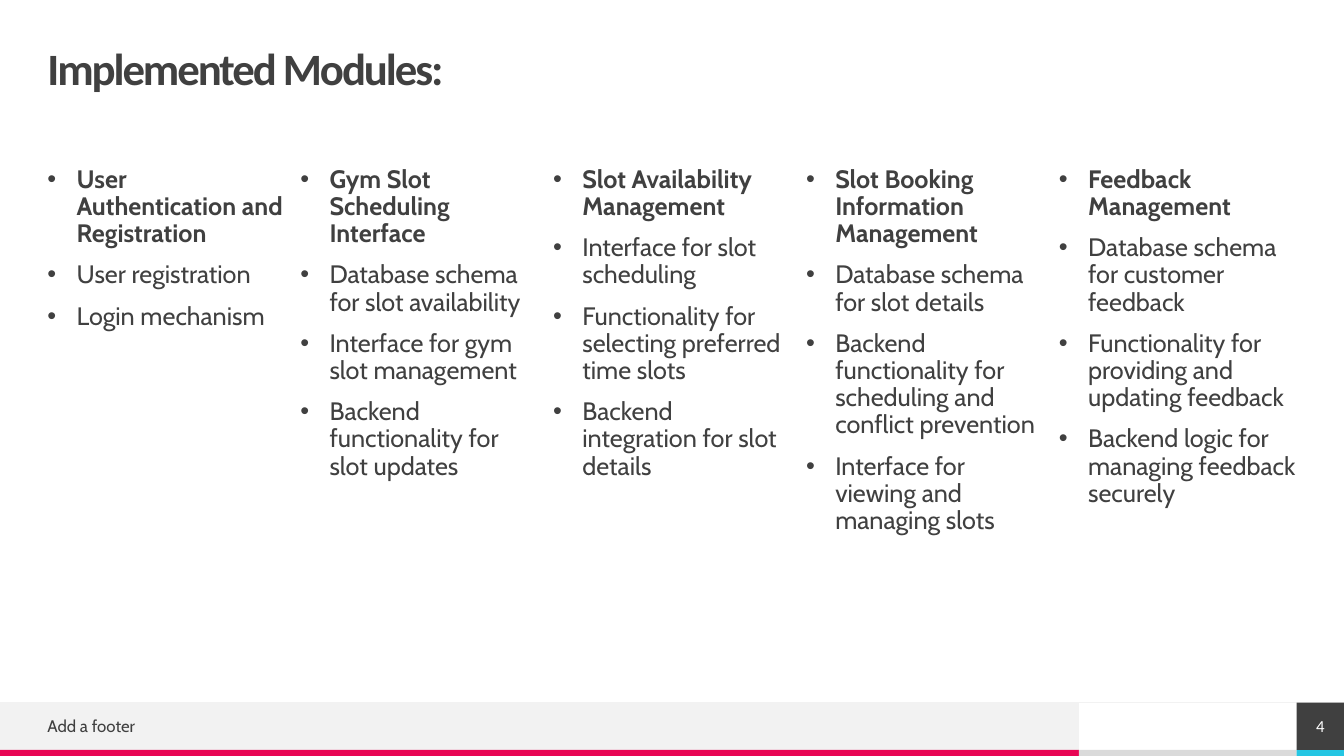
import copy

import pptx
import pptx.dml.color
import pptx.enum.shapes
import pptx.enum.text
import pptx.oxml.ns
import pptx.util
from lxml import etree

TITLE = "Implemented Modules:"
MODULES = [
    ("User Authentication and Registration",
     ["User registration", "Login mechanism"]),
    ("Gym Slot Scheduling Interface",
     ["Database schema for slot availability",
      "Interface for gym slot management",
      "Backend functionality for slot updates"]),
    ("Slot Availability Management",
     ["Interface for slot scheduling",
      "Functionality for selecting preferred time slots",
      "Backend integration for slot details"]),
    ("Slot Booking Information Management",
     ["Database schema for slot details",
      "Backend functionality for scheduling and conflict prevention",
      "Interface for viewing and managing slots"]),
    ("Feedback Management",
     ["Database schema for customer feedback",
      "Functionality for providing and updating feedback",
      "Backend logic for managing feedback securely"]),
]
FOOTER = "Add a footer"
PAGE_NUMBER = "4"

COLORS = {"text": "404040", "band": "F2F2F2", "gray": "DADADA",
          "pink": "E80554", "cyan": "25C6E3", "white": "FFFFFF"}
HEADING_FONT, BODY_FONT = "Calibri", "Cabin"

WIDTH, HEIGHT = 13.33, 7.5
MARGIN = 0.47
STRIP = 0.06
GAP = 0.15
COLUMN = (WIDTH - 2 * MARGIN - GAP * (len(MODULES) - 1)) / len(MODULES)
BODY_TOP, BODY_HEIGHT = 1.65, 5.12
INDENT = 0.29
STRIP_TOP = HEIGHT - STRIP
BAND_TOP = STRIP_TOP - MARGIN
BAND_WIDTH = 10.7
NUMBER_LEFT = WIDTH - MARGIN

inches = pptx.util.Inches
ALIGN = pptx.enum.text.PP_ALIGN
ANCHOR = pptx.enum.text.MSO_ANCHOR


def rgb(name):
    return pptx.dml.color.RGBColor.from_string(COLORS[name])


def place(shape, left, top, width, height):
    shape.left, shape.top = inches(left), inches(top)
    shape.width, shape.height = inches(width), inches(height)


def set_frame(shape, anchor):
    """Remove insets and automatic fitting, and return the text frame."""
    frame = shape.text_frame
    frame.margin_left = frame.margin_right = 0
    frame.margin_top = frame.margin_bottom = 0
    frame.word_wrap = True
    frame.auto_size = pptx.enum.text.MSO_AUTO_SIZE.NONE
    frame.vertical_anchor = anchor
    return frame


def set_font(paragraph, size, font, color="text", bold=False):
    for run in paragraph.runs:
        run.font.size = pptx.util.Pt(size)
        run.font.name = font
        run.font.bold = bold
        run.font.color.rgb = rgb(color)


def add_bar(slide, left, top, width, height, color):
    bar = slide.shapes.add_shape(
        pptx.enum.shapes.MSO_SHAPE.RECTANGLE,
        inches(left), inches(top), inches(width), inches(height))
    bar.shadow.inherit = False
    bar.fill.solid()
    bar.fill.fore_color.rgb = rgb(color)
    bar.line.fill.background()
    return bar


def add_footer(slide):
    add_bar(slide, 0, BAND_TOP, BAND_WIDTH, MARGIN, "band")
    add_bar(slide, 0, STRIP_TOP, BAND_WIDTH, STRIP, "pink")
    add_bar(slide, BAND_WIDTH, STRIP_TOP, NUMBER_LEFT - BAND_WIDTH, STRIP, "gray")
    add_bar(slide, NUMBER_LEFT, STRIP_TOP, MARGIN, STRIP, "cyan")

    rule = slide.shapes.add_connector(
        pptx.enum.shapes.MSO_CONNECTOR.STRAIGHT,
        inches(WIDTH), inches(BAND_TOP), 0, inches(BAND_TOP))
    rule.line.color.rgb = rgb("band")
    rule.line.width = pptx.util.Pt(0.5)
    etree.SubElement(rule._element.spPr, pptx.oxml.ns.qn("a:effectLst"))

    footer = slide.shapes.add_textbox(
        inches(MARGIN), inches(7.04), inches(6.19), inches(0.32))
    paragraph = set_frame(footer, ANCHOR.MIDDLE).paragraphs[0]
    paragraph.text = FOOTER
    set_font(paragraph, 12, BODY_FONT)

    number = add_bar(slide, NUMBER_LEFT, BAND_TOP, MARGIN, MARGIN, "text")
    paragraph = set_frame(number, ANCHOR.MIDDLE).paragraphs[0]
    paragraph.text = PAGE_NUMBER
    paragraph.alignment = ALIGN.CENTER
    set_font(paragraph, 12, HEADING_FONT, "white")


def fill_title(title):
    place(title, MARGIN, MARGIN, WIDTH - 2 * MARGIN, MARGIN)
    paragraph = set_frame(title, ANCHOR.MIDDLE).paragraphs[0]
    paragraph.text = TITLE
    paragraph.alignment = ALIGN.LEFT
    paragraph.line_spacing = 0.9
    set_font(paragraph, 32, HEADING_FONT, bold=True)
    paragraph.runs[0].font._element.set("spc", "-150")


def add_body_columns(slide):
    """Repeat the layout's body placeholder, one for each module."""
    body = slide.placeholders[1]
    for number in range(1, len(MODULES)):
        element = copy.deepcopy(body._element)
        properties = element.xpath(".//p:cNvPr")[0]
        properties.set("id", str(100 + number))
        properties.set("name", f"Module {number + 1}")
        slide.shapes._spTree.append(element)
    return [shape for shape in slide.placeholders
            if shape.placeholder_format.idx == 1]


def fill_module(body, column, heading, features):
    place(body, MARGIN + column * (COLUMN + GAP), BODY_TOP, COLUMN, BODY_HEIGHT)
    frame = set_frame(body, ANCHOR.TOP)
    frame.text = "\n".join([heading, *features])
    for row, paragraph in enumerate(frame.paragraphs):
        properties = paragraph._p.get_or_add_pPr()
        properties.set("marL", str(inches(INDENT)))
        properties.set("indent", str(-inches(INDENT)))
        font = etree.SubElement(properties, pptx.oxml.ns.qn("a:buFont"))
        font.set("typeface", "Arial")
        bullet = etree.SubElement(properties, pptx.oxml.ns.qn("a:buChar"))
        bullet.set("char", "•")
        paragraph.alignment = ALIGN.LEFT
        paragraph.line_spacing = 0.9
        paragraph.space_before = pptx.util.Pt(10 if row else 0)
        set_font(paragraph, 18, BODY_FONT, bold=row == 0)


def main():
    presentation = pptx.Presentation()
    presentation.slide_width = inches(WIDTH)
    presentation.slide_height = inches(HEIGHT)
    slide = presentation.slides.add_slide(presentation.slide_layouts[1])
    fill_title(slide.shapes.title)
    bodies = add_body_columns(slide)
    for column, (body, module) in enumerate(zip(bodies, MODULES)):
        fill_module(body, column, *module)
    add_footer(slide)
    presentation.save("out.pptx")


if __name__ == "__main__":
    main()
